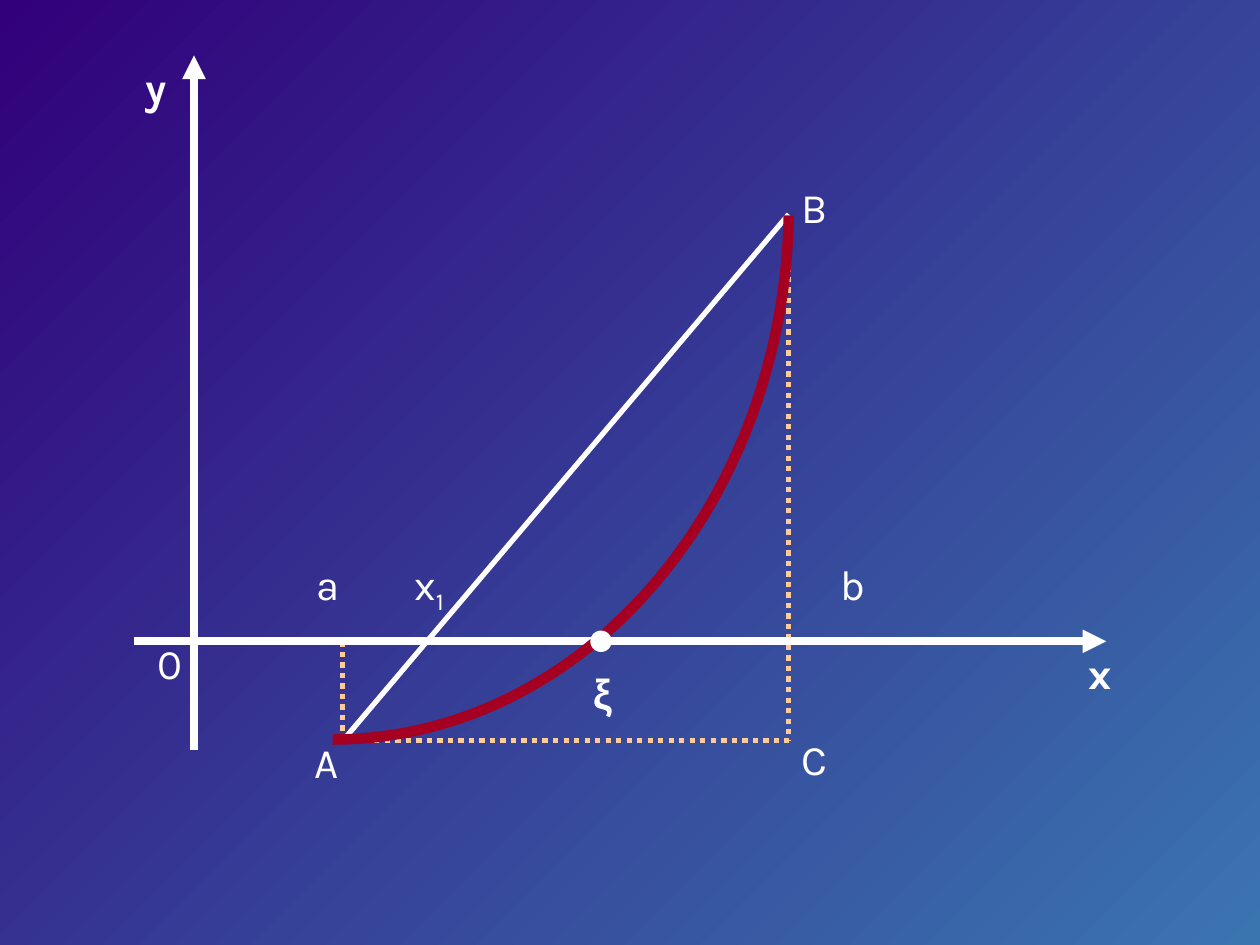
"""Build a slide showing the chord method for finding a root on a curve."""
from pptx import Presentation
from pptx.dml.color import RGBColor
from pptx.enum.dml import MSO_LINE_DASH_STYLE as Dash
from pptx.enum.shapes import MSO_CONNECTOR as Connector, MSO_SHAPE as Shape
from pptx.oxml.ns import qn
from pptx.util import Inches, Pt
from lxml.etree import SubElement

WHITE, PEACH, RED = "FFFFFF", "FFCC99", "A50021"
GRADIENT = ("31007A", "3A75B0")
LEFT, RIGHT, AXIS_Y, BOTTOM, TOP = 2.72, 6.26, 5.09, 5.88, 1.7
ORIGIN_X = 1.54
DOTTED = dict(color=PEACH, width=3, dash=Dash.ROUND_DOT)
CHORD = dict(color=WHITE, width=3)
AXIS = dict(color=WHITE, width=4.5, arrow=True)

LINES = [
    ((LEFT, BOTTOM), (RIGHT, BOTTOM), DOTTED),
    ((RIGHT, TOP), (LEFT, BOTTOM), CHORD),
    ((RIGHT, 1.78), (RIGHT, BOTTOM), DOTTED),
    ((LEFT, AXIS_Y), (LEFT, BOTTOM), DOTTED),
    ((1.06, AXIS_Y), (8.78, AXIS_Y), AXIS),
]
Y_AXIS = ((ORIGIN_X, 5.95), (ORIGIN_X, 0.44), AXIS)
CURVE = [(2.64, 5.87), (4.61, 5.87), (6.22, 4.02), (RIGHT, 1.71)]
CURVE_STEPS = 60
ROOT_X, ROOT_SIZE = 4.77, 0.16
LABEL_HEIGHT = 0.5

LABELS = [
    ("y", 1.06, 0.44, 0.63, dict(bold=True)),
    ("x", 8.54, AXIS_Y, 0.63, dict(bold=True)),
    ("0", 1.15, 5.01, 0.39, {}),
    ("a", 2.41, 4.38, 0.38, {}),
    ("b", 6.57, 4.38, 0.4, {}),
    ("x", 3.19, 4.38, 0.47, dict(subscript="1")),
    ("ξ", 4.61, 5.25, 0.55, dict(bold=True, font="Arial")),
    ("A", 2.4, 5.8, 0.47, {}),
    ("C", RIGHT, 5.77, 0.47, {}),
    ("B", RIGHT, 1.39, 0.47, {}),
]


def rgb(color):
    return RGBColor.from_string(color)


def add_line(slide, start, end, color, width, dash=None, arrow=False):
    points = [Inches(value) for value in (*start, *end)]
    connector = slide.shapes.add_connector(Connector.STRAIGHT, *points)
    line = connector.line
    line.color.rgb, line.width = rgb(color), Pt(width)
    if dash:
        line.dash_style = dash
    if arrow:
        SubElement(line._get_or_add_ln(), qn("a:tailEnd"), type="triangle")
    SubElement(connector._element.spPr, qn("a:effectLst"))


def bezier(points, t):
    weights = ((1 - t) ** 3, 3 * t * (1 - t) ** 2, 3 * t * t * (1 - t), t ** 3)
    return tuple(
        Inches(sum(weight * point[axis] for weight, point in zip(weights, points)))
        for axis in (0, 1)
    )


def add_curve(slide):
    points = [bezier(CURVE, step / CURVE_STEPS) for step in range(CURVE_STEPS + 1)]
    builder = slide.shapes.build_freeform(*points[0])
    builder.add_line_segments(points[1:], close=False)
    curve = builder.convert_to_shape()
    curve.shadow.inherit = False
    curve.fill.background()
    curve.line.color.rgb, curve.line.width = rgb(RED), Pt(6)


def add_root(slide):
    corner = (ROOT_X - ROOT_SIZE / 2, AXIS_Y - ROOT_SIZE / 2)
    box = [Inches(value) for value in (*corner, ROOT_SIZE, ROOT_SIZE)]
    root = slide.shapes.add_shape(Shape.OVAL, *box)
    root.shadow.inherit = False
    root.fill.solid()
    root.fill.fore_color.rgb = root.line.color.rgb = rgb(WHITE)
    root.line.width = Pt(0.75)


def add_label(slide, text, left, top, width, bold=False, font="Karla", subscript=""):
    box = [Inches(value) for value in (left, top, width, LABEL_HEIGHT)]
    frame = slide.shapes.add_textbox(*box).text_frame
    frame.word_wrap = True
    paragraph = frame.paragraphs[0]
    for part in filter(None, (text, subscript)):
        run = paragraph.add_run()
        run.text = part
        run.font.name, run.font.size, run.font.bold = font, Pt(24), bold
        run.font.color.rgb = rgb(WHITE)
    if subscript:
        run.font._element.set("baseline", "-25000")


def main():
    presentation = Presentation()
    presentation.slide_width, presentation.slide_height = Inches(10), Inches(7.5)
    slide = presentation.slides.add_slide(presentation.slide_layouts[6])
    fill = slide.background.fill
    fill.gradient()
    fill.gradient_angle = 315
    for stop, color, position in zip(fill.gradient_stops, GRADIENT, (0, 1)):
        stop.color.rgb, stop.position = rgb(color), position
    for start, end, style in LINES:
        add_line(slide, start, end, **style)
    add_curve(slide)
    add_root(slide)
    for text, left, top, width, style in LABELS:
        add_label(slide, text, left, top, width, **style)
    start, end, style = Y_AXIS
    add_line(slide, start, end, **style)
    presentation.save("out.pptx")


if __name__ == "__main__":
    main()
